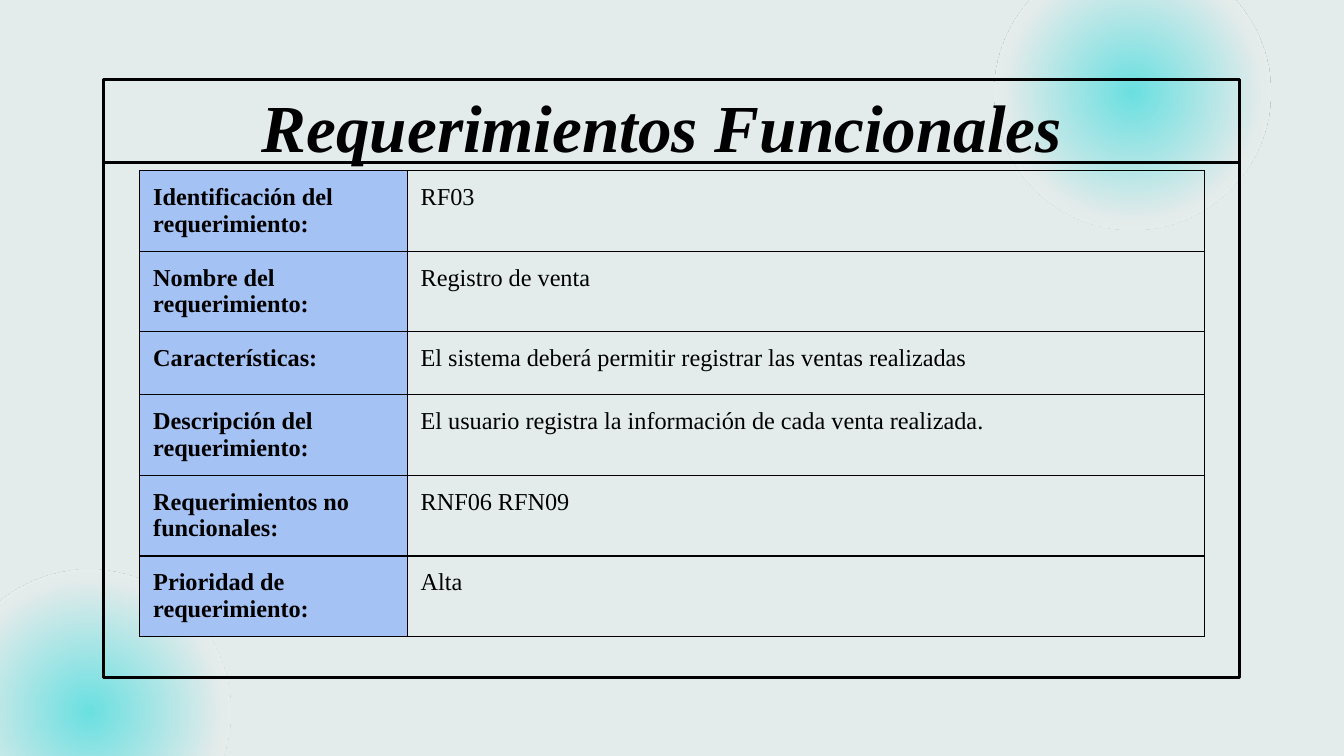
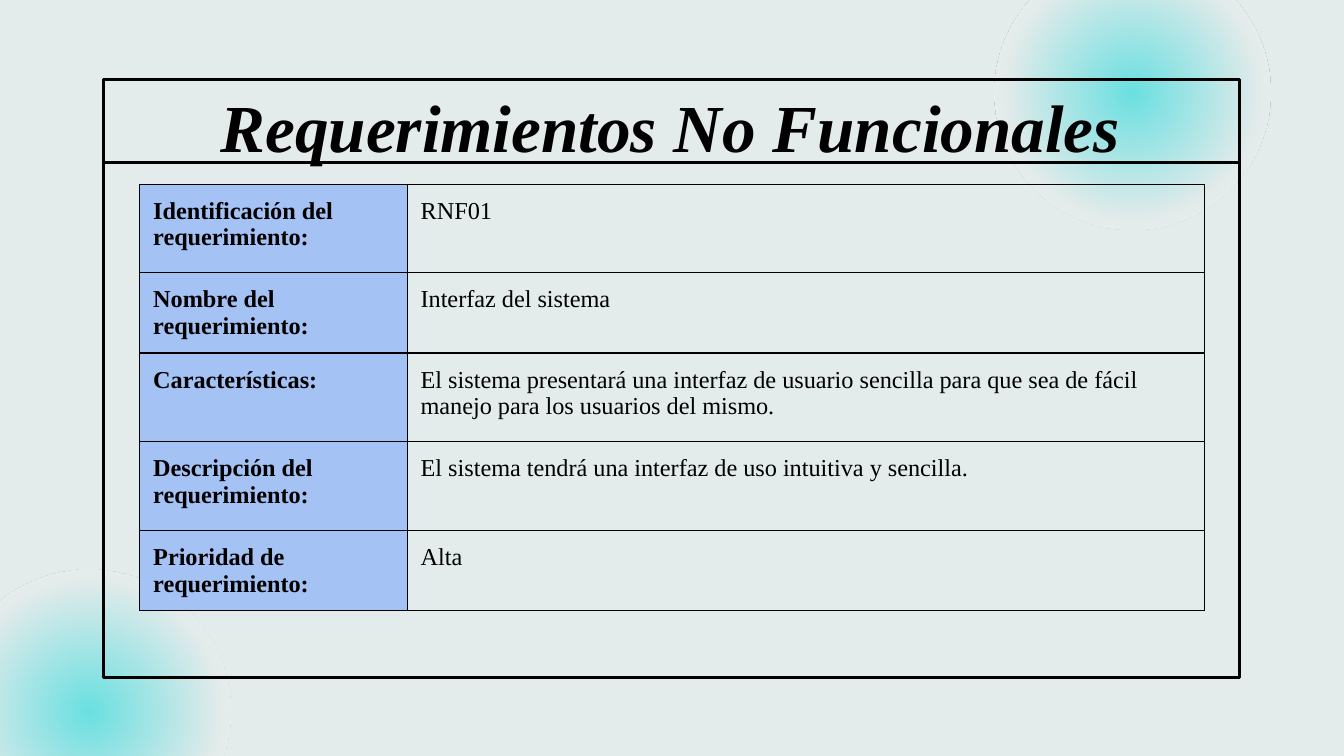
from dataclasses import dataclass

from lxml.etree import SubElement
from pptx import Presentation
from pptx.dml.color import RGBColor
from pptx.enum.shapes import MSO_CONNECTOR, MSO_SHAPE, PP_PLACEHOLDER
from pptx.enum.text import MSO_ANCHOR, MSO_AUTO_SIZE, PP_ALIGN
from pptx.oxml import parse_xml
from pptx.oxml.ns import nsdecls, qn
from pptx.util import Inches, Pt


@dataclass(frozen=True)
class Theme:
    background: str = "E3EBEB"
    glow: str = "6AE0E1"
    glow_edge: str = "FFFFFF"
    ink: str = "000000"
    label_fill: str = "A4C2F4"
    font: str = "Times New Roman"
    title_size: int = 36
    table_size: int = 13
    frame_width: float = 1.5
    border_width: float = 0.75
    inset: float = 0.1


THEME = Theme()
TITLE_ONLY = 5
COLUMN_WIDTHS = (1.99, 5.93)
TABLE_LEFT = 1.04

# Requirement fields that both tables use
IDENTIFIER = "Identificación del requerimiento:"
NAME = "Nombre del requerimiento:"
FEATURES = "Características:"
DESCRIPTION = "Descripción del requerimiento:"
RELATED = "Requerimientos no funcionales:"
PRIORITY = "Prioridad de requerimiento:"

# Each row: label, value, height
FUNCTIONAL = [
    (IDENTIFIER, "RF03", 0.6),
    (NAME, "Registro de venta", 0.47),
    (FEATURES, "El sistema deberá permitir registrar las ventas realizadas", 0.47),
    (DESCRIPTION, "El usuario registra la información de cada venta realizada.", 0.6),
    (RELATED, "RNF06 RFN09", 0.6),
    (PRIORITY, "Alta", 0.47),
]
NON_FUNCTIONAL = [
    (IDENTIFIER, "RNF01", 0.66),
    (NAME, "Interfaz del sistema", 0.51),
    (FEATURES, "El sistema presentará una interfaz de usuario sencilla para que "
               "sea de fácil manejo para los usuarios del mismo.", 0.66),
    (DESCRIPTION, "El sistema tendrá una interfaz de uso intuitiva y sencilla.", 0.66),
    (PRIORITY, "Alta", 0.51),
]


def color(value):
    return RGBColor.from_string(value)


def set_insets(target):
    for side in ("left", "right", "top", "bottom"):
        setattr(target, f"margin_{side}", Inches(THEME.inset))


def format_font(paragraph, size, bold, italic=False):
    font = paragraph.font
    font.name = THEME.font
    font.size = Pt(size)
    font.bold = bold
    font.italic = italic
    font.color.rgb = color(THEME.ink)


def format_line(line):
    line.color.rgb = color(THEME.ink)
    line.width = Pt(THEME.frame_width)


# Shared decoration
def add_glow(slide, left, top, diameter):
    shape = slide.shapes.add_shape(MSO_SHAPE.OVAL, Inches(left), Inches(top),
                                   Inches(diameter), Inches(diameter))
    shape.shadow.inherit = False
    shape.rotation = 180
    shape.line.fill.background()
    gradient = parse_xml(
        f'<a:gradFill {nsdecls("a")} rotWithShape="1"><a:gsLst>'
        f'<a:gs pos="0"><a:srgbClr val="{THEME.glow}"/></a:gs>'
        f'<a:gs pos="65000"><a:srgbClr val="{THEME.background}"/></a:gs>'
        f'<a:gs pos="100000"><a:srgbClr val="{THEME.glow_edge}">'
        '<a:alpha val="0"/></a:srgbClr></a:gs></a:gsLst>'
        '<a:path path="circle"><a:fillToRect l="50000" t="50000" r="50000" b="50000"/>'
        '</a:path></a:gradFill>')
    shape.element.spPr.find(qn("a:prstGeom")).addnext(gradient)
    return shape


def add_frame(slide):
    frame = slide.shapes.add_shape(MSO_SHAPE.RECTANGLE, Inches(0.77), Inches(0.59),
                                   Inches(8.45), Inches(4.45))
    frame.shadow.inherit = False
    frame.fill.background()
    format_line(frame.line)
    return frame


def add_title_rule(slide):
    rule = slide.shapes.add_connector(MSO_CONNECTOR.STRAIGHT, Inches(0.78), Inches(1.21),
                                      Inches(9.23), Inches(1.21))
    format_line(rule.line)
    SubElement(rule.element.spPr, qn("a:effectLst"))
    return rule


def decorate_layout(layout, slide):
    """Draw the shared parts on a slide, then move them to its layout."""
    for placeholder in list(layout.placeholders):
        if placeholder.placeholder_format.type != PP_PLACEHOLDER.TITLE:
            layout.shapes.element.remove(placeholder.element)
    parts = [add_glow(slide, -0.39, 4.24, 2.1), add_glow(slide, 7.4, -0.34, 2.05),
             add_frame(slide), add_title_rule(slide)]
    for part in parts:
        layout.shapes.element.append(part.element)


# Slide content
def set_title(slide, text):
    title = slide.shapes.title
    title.left, title.top = Inches(0.75), Inches(0.59)
    title.width, title.height = Inches(8.48), Inches(0.69)
    frame = title.text_frame
    frame.text = text
    frame.word_wrap = True
    frame.auto_size = MSO_AUTO_SIZE.NONE
    frame.vertical_anchor = MSO_ANCHOR.MIDDLE
    set_insets(frame)
    paragraph = frame.paragraphs[0]
    paragraph.alignment = PP_ALIGN.CENTER
    format_font(paragraph, THEME.title_size, bold=True, italic=True)


def set_borders(cell):
    properties = cell._tc.get_or_add_tcPr()
    for index, side in enumerate(("lnL", "lnR", "lnT", "lnB")):
        properties.insert(index, parse_xml(
            f'<a:{side} {nsdecls("a")} w="{Pt(THEME.border_width)}"><a:solidFill>'
            f'<a:srgbClr val="{THEME.ink}"/></a:solidFill></a:{side}>'))


def fill_cell(cell, text, is_label):
    cell.text = text
    set_insets(cell)
    format_font(cell.text_frame.paragraphs[0], THEME.table_size, bold=is_label)
    if is_label:
        cell.fill.solid()
        cell.fill.fore_color.rgb = color(THEME.label_fill)
    else:
        cell.fill.background()
    set_borders(cell)


def add_requirement_table(slide, top, rows):
    height = sum(row[2] for row in rows)
    table = slide.shapes.add_table(len(rows), len(COLUMN_WIDTHS), Inches(TABLE_LEFT),
                                   Inches(top), Inches(sum(COLUMN_WIDTHS)),
                                   Inches(height)).table
    table.first_row = False
    table.horz_banding = False
    for column, width in zip(table.columns, COLUMN_WIDTHS):
        column.width = Inches(width)
    for index, (label, value, row_height) in enumerate(rows):
        table.rows[index].height = Inches(row_height)
        fill_cell(table.cell(index, 0), label, is_label=True)
        fill_cell(table.cell(index, 1), value, is_label=False)


def add_requirement_slide(presentation, title, table_top, rows):
    slide = presentation.slides.add_slide(presentation.slide_layouts[TITLE_ONLY])
    set_title(slide, title)
    add_requirement_table(slide, table_top, rows)
    return slide


def main():
    presentation = Presentation()
    presentation.slide_width = Inches(10)
    presentation.slide_height = Inches(10) * 9 // 16
    background = presentation.slide_master.background.fill
    background.solid()
    background.fore_color.rgb = color(THEME.background)

    first = add_requirement_slide(presentation, "Requerimientos Funcionales ", 1.27, FUNCTIONAL)
    add_requirement_slide(presentation, "Requerimientos No Funcionales", 1.37, NON_FUNCTIONAL)
    decorate_layout(first.slide_layout, first)
    presentation.save("out.pptx")


if __name__ == "__main__":
    main()
